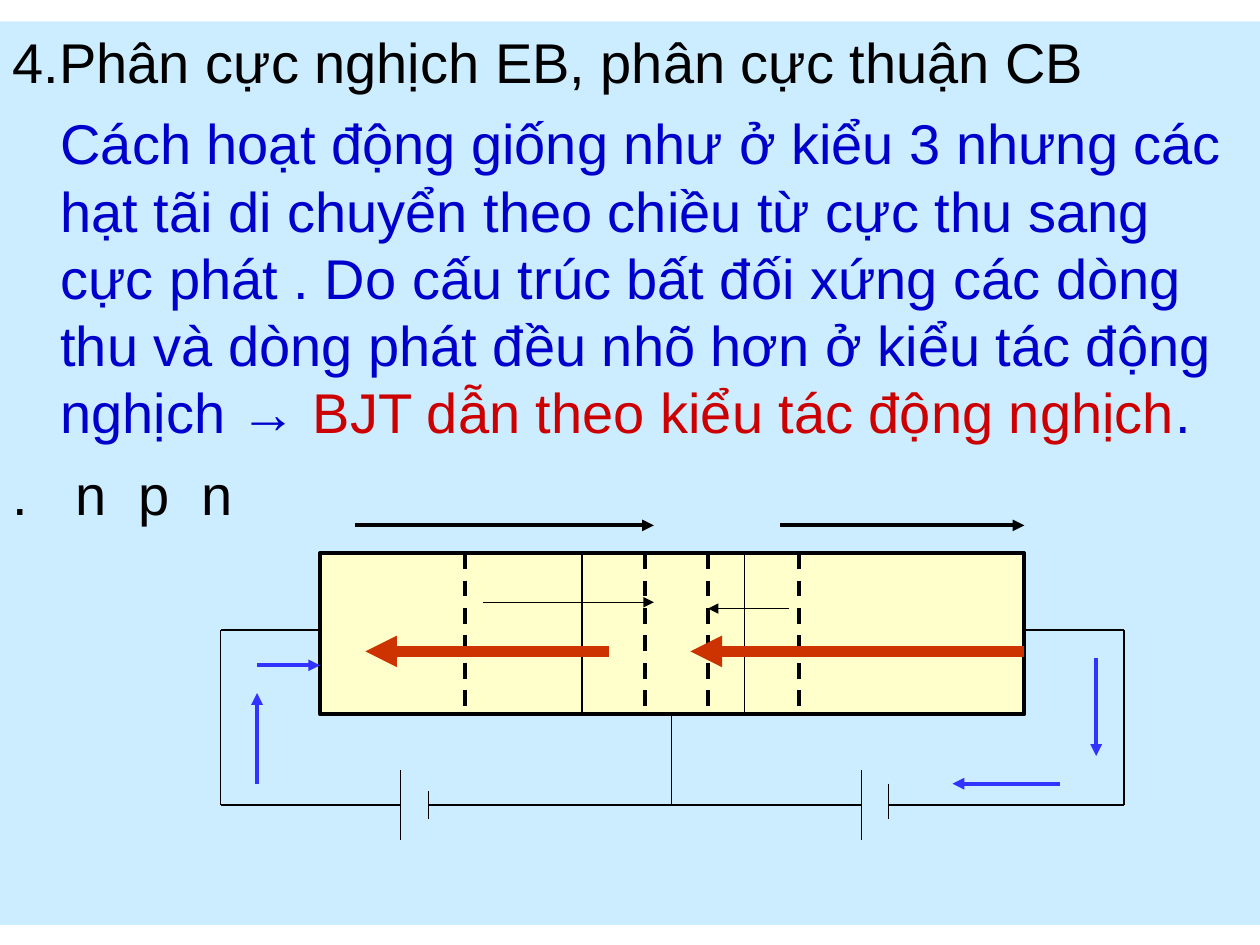
import pptx
import pptx.dml.color
import pptx.enum.dml
import pptx.enum.shapes
import pptx.enum.text
import pptx.oxml.ns
import pptx.util
from lxml import etree
from pptx.util import Inches, Pt

BLACK, BLUE, RED = "000000", "0000CC", "CC0000"
ORANGE, CURRENT = "CC3300", "3333FF"

# Each paragraph: indent, first-line offset, tab stops, spans (text, colour)
PARAGRAPHS = [
    (0.38, -0.38, [], [("4.Phân cực nghịch EB, phân cực thuận CB", BLACK)]),
    (0.38, 0, [], [
        ("Cách hoạt động giống như ở kiểu 3 nhưng các hạt tãi di chuyển theo "
         "chiều từ cực thu sang cực phát . Do cấu trúc bất đối xứng các dòng "
         "thu và dòng phát đều nhõ hơn ở kiểu tác động nghịch → ", BLUE),
        ("BJT dẫn theo kiểu tác động nghịch", RED),
        (".", BLUE)]),
    (0, 0, [3.07, 5.42, 7.27], [(".\tn\tp\tn", BLACK)]),
]

# Transistor body and circuit levels
LEFT, TOP, RIGHT, BOTTOM = 2.54, 4.39, 8.13, 5.67
TERMINAL, WIRE = 5, 6.39
OUTER_LEFT, OUTER_RIGHT, BASE = 1.75, 8.92, 5.33
JUNCTIONS = [4.62, 5.91]
DEPLETION_EDGES = [3.69, 5.12, 5.62, 6.34]

# Each line: x1, y1, x2, y2
WIRES = [
    (LEFT, TERMINAL, OUTER_LEFT, TERMINAL),
    (OUTER_LEFT, TERMINAL, OUTER_LEFT, WIRE),
    (OUTER_LEFT, WIRE, 3.18, WIRE),
    (3.4, WIRE, 6.84, WIRE),
    (BASE, WIRE, BASE, BOTTOM),
    (7.05, WIRE, OUTER_RIGHT, WIRE),
    (OUTER_RIGHT, WIRE, OUTER_RIGHT, TERMINAL),
    (OUTER_RIGHT, TERMINAL, RIGHT, TERMINAL),
]
BATTERY_PLATES = [
    (3.18, 6.11, 3.18, 6.67), (3.4, 6.28, 3.4, 6.5),
    (6.84, 6.11, 6.84, 6.67), (7.05, 6.22, 7.05, 6.5),
]
# Each group: colour, width, lines
ARROWS = [
    (BLACK, 0.75, [(6.26, 4.83, 5.62, 4.83), (3.83, 4.78, 5.19, 4.78),
                   (2.9, 4.17, 2.9, 4.17)]),
    (BLACK, 2.25, [(2.82, 4.17, 5.19, 4.17), (6.19, 4.17, RIGHT, 4.17)]),
    (ORANGE, 6, [(RIGHT, 5.17, 5.48, 5.17), (4.83, 5.17, 2.9, 5.17)]),
    (CURRENT, 2.25, [(2.04, 6.22, 2.04, 5.5), (2.04, 5.28, LEFT, 5.28),
                     (8.41, 6.22, 7.56, 6.22), (8.7, 5.22, 8.7, 6)]),
]


def rgb(value):
    return pptx.dml.color.RGBColor.from_string(value)


def add_element(parent, tag, **attributes):
    return etree.SubElement(parent, pptx.oxml.ns.qn(tag), attributes)


def add_line(ends, colour=BLACK, width=0.75, dashed=False, arrow=False):
    line = page.shapes.add_connector(
        pptx.enum.shapes.MSO_CONNECTOR.STRAIGHT, *map(Inches, ends))
    line.line.color.rgb = rgb(colour)
    line.line.width = Pt(width)
    if dashed:
        line.line.dash_style = pptx.enum.dml.MSO_LINE.DASH
    if arrow:
        add_element(line.line._get_or_add_ln(), "a:tailEnd", type="triangle")
    add_element(line._element.spPr, "a:effectLst")


def write_body(frame):
    frame.word_wrap = True
    frame.auto_size = pptx.enum.text.MSO_AUTO_SIZE.NONE
    frame.vertical_anchor = pptx.enum.text.MSO_ANCHOR.TOP
    for index, (indent, offset, tabs, spans) in enumerate(PARAGRAPHS):
        para = frame.add_paragraph() if index else frame.paragraphs[0]
        properties = para._p.get_or_add_pPr()
        properties.set("marL", str(Inches(indent)))
        properties.set("indent", str(Inches(offset)))
        para.space_before = Pt(8 if index else 0)
        add_element(properties, "a:buNone")
        if tabs:
            tab_list = add_element(properties, "a:tabLst")
            for position in tabs:
                add_element(tab_list, "a:tab", pos=str(Inches(position)), algn="l")
        para.font.name = "Arial"
        para.font.size = Pt(32)
        for text, colour in spans:
            span = para.add_run()
            span.text = text
            span.font.color.rgb = rgb(colour)


deck = pptx.Presentation()
deck.slide_width, deck.slide_height = Inches(10), Inches(7.5)
page = deck.slides.add_slide(deck.slide_layouts[1])
title = page.shapes.title
title._element.getparent().remove(title._element)

body = page.placeholders[1]
body.left, body.top = Inches(0), Inches(0.17)
body.width, body.height = Inches(10), Inches(7.17)
body.fill.solid()
body.fill.fore_color.rgb = rgb("CCECFF")
write_body(body.text_frame)

transistor = page.shapes.add_shape(
    pptx.enum.shapes.MSO_SHAPE.RECTANGLE, Inches(LEFT), Inches(TOP),
    Inches(RIGHT - LEFT), Inches(BOTTOM - TOP))
transistor.shadow.inherit = False
transistor.fill.solid()
transistor.fill.fore_color.rgb = rgb("FFFFCC")
transistor.line.color.rgb = rgb(BLACK)
transistor.line.width = Pt(2.25)

for x in JUNCTIONS:
    add_line((x, TOP, x, BOTTOM))
for ends in WIRES + BATTERY_PLATES:
    add_line(ends)
for x in DEPLETION_EDGES:
    add_line((x, TOP, x, BOTTOM), width=2.25, dashed=True)
for colour, width, lines in ARROWS:
    for ends in lines:
        add_line(ends, colour, width, arrow=True)

deck.save("out.pptx")
